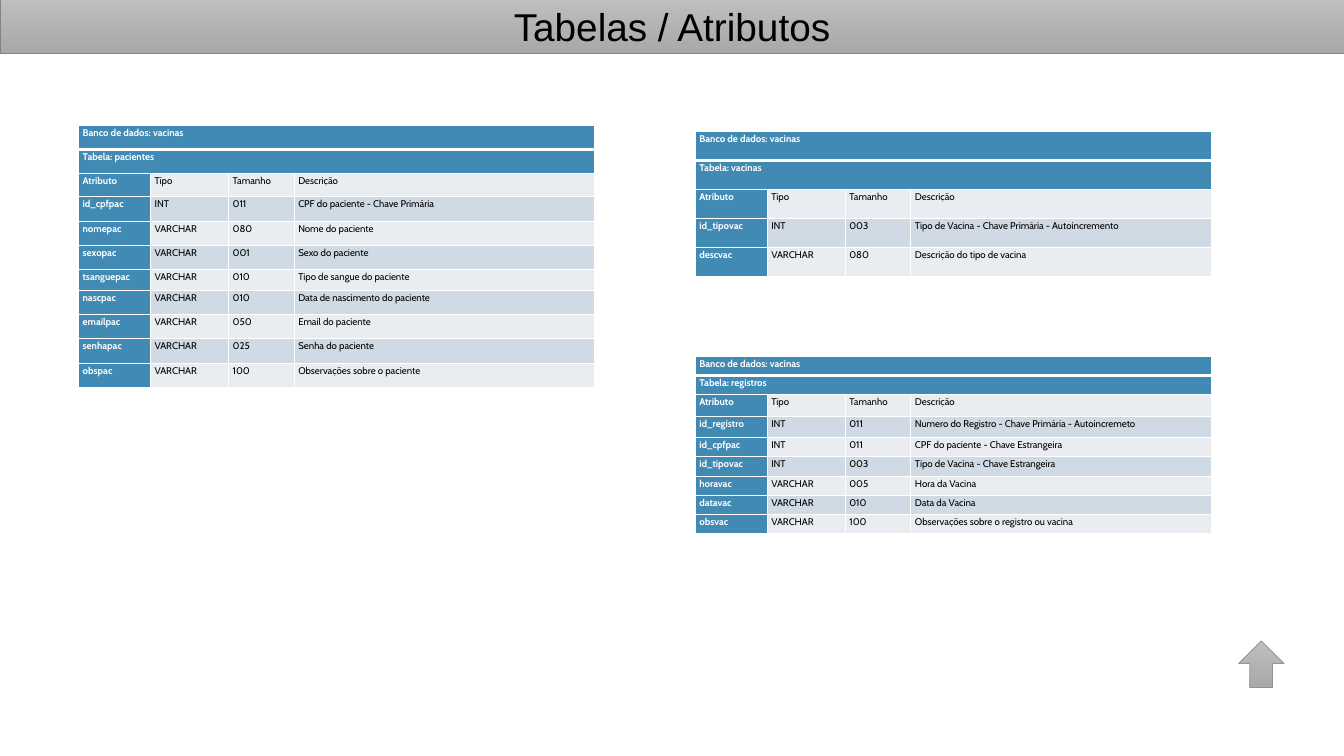
from dataclasses import dataclass

from lxml.etree import SubElement
from pptx import Presentation
from pptx.dml.color import RGBColor
from pptx.enum.shapes import MSO_SHAPE
from pptx.enum.text import MSO_AUTO_SIZE, PP_ALIGN
from pptx.oxml.ns import qn
from pptx.shapes.autoshape import Shape
from pptx.shapes.shapetree import SlideShapes
from pptx.table import _Cell
from pptx.text.text import TextFrame
from pptx.util import Pt

WIDTH, HEIGHT = 1386.72, 779.76
BLUE, WHITE, BLACK = "418AB3", "FFFFFF", "000000"
BANDS = ("E9EDF2", "CFDAE5")
COLS = (74.2, 80.6, 67.7, 310.3)
HEADS = ("Atributo", "Típo", "Tamanho", "Descrição")
EDGES = ("lnL", "lnR", "lnT", "lnB")


@dataclass
class Entity:
    name: str
    left: float
    top: float
    row: float  # usual row height
    odd: dict[int, float]  # heights of the rows that differ
    fields: list[tuple[str, str, str, str]]


ENTITIES = [
    Entity("pacientes", 81, 129.2, 25, {2: 23.8, 6: 21.6}, [
        ("id_cpfpac", "INT", "011", "CPF do paciente - Chave Primária"),
        ("nomepac", "VARCHAR", "080", "Nome do paciente"),
        ("sexopac", "VARCHAR", "001", "Sexo do paciente"),
        ("tsanguepac", "VARCHAR", "010", "Tipo de sangue do paciente"),
        ("nascpac", "VARCHAR", "010", "Data de nascimento do paciente"),
        ("emailpac", "VARCHAR", "050", "Email do paciente"),
        ("senhapac", "VARCHAR", "025", "Senha do paciente"),
        ("obspac", "VARCHAR", "100", "Observações sobre o paciente"),
    ]),
    Entity("vacinas", 717.3, 135.5, 29.9, {}, [
        ("id_tipovac", "INT", "003",
         "Tipo de Vacina - Chave Primária - Autoincremento"),
        ("descvac", "VARCHAR", "080", "Descrição do tipo de vacina"),
    ]),
    Entity("registros", 717.3, 367.5, 19.9, {2: 22.3, 3: 21.6}, [
        ("id_registro", "INT", "011",
         "Numero do Registro - Chave Primária - Autoincremeto"),
        ("id_cpfpac", "INT", "011", "CPF do paciente - Chave Estrangeira"),
        ("id_tipovac", "INT", "003", "Tipo de Vacina - Chave Estrangeira"),
        ("horavac", "VARCHAR", "005", "Hora da Vacina"),
        ("datavac", "VARCHAR", "010", "Data da Vacina"),
        ("obsvac", "VARCHAR", "100", "Observações sobre o registro ou vacina"),
    ]),
]


def color(code: str) -> RGBColor:
    return RGBColor.from_string(code)


def write(frame: TextFrame, text: str, *, size: float = 10, font: str = "Cabin",
          ink: str = BLACK, bold: bool = False, space: float = 1.15,
          align: PP_ALIGN = PP_ALIGN.LEFT) -> None:
    line = frame.paragraphs[0]
    line.alignment = align
    line.line_spacing = space
    run = line.add_run()
    run.text = text
    run.font.size = Pt(size)
    run.font.name = font
    run.font.bold = bold
    run.font.color.rgb = color(ink)


def draw_gray(shapes: SlideShapes, kind: MSO_SHAPE, left: float, top: float,
              width: float, height: float) -> Shape:
    """Add a preset shape with the gray gradient and thin outline."""
    shape = shapes.add_shape(kind, Pt(left), Pt(top), Pt(width), Pt(height))
    shape.shadow.inherit = False
    shape.fill.gradient()
    shape.fill.gradient_angle = 270
    for stop, code in zip(shape.fill.gradient_stops, ("BEBEBE", "A9A9A9")):
        stop.color.rgb = color(code)
    shape.line.color.rgb = color("838383")
    shape.line.width = Pt(0.5)
    return shape


def style(cell: _Cell, fill: str, thick: str) -> None:
    """Set margins, white borders (one edge may be thick) and fill."""
    cell.margin_left = cell.margin_right = Pt(4.3)
    cell.margin_top = cell.margin_bottom = 0
    props = cell._tc.get_or_add_tcPr()
    for edge in EDGES:
        line = SubElement(props, qn(f"a:{edge}"), w=str(Pt(3 if edge == thick else 1)))
        solid = SubElement(line, qn("a:solidFill"))
        SubElement(solid, qn("a:srgbClr"), val=WHITE)
    cell.fill.solid()
    cell.fill.fore_color.rgb = color(fill)


def draw_table(shapes: SlideShapes, entity: Entity) -> None:
    rows = [("Banco de dados: vacinas",), (f"Tabela: {entity.name}",),
            HEADS, *entity.fields]
    sizes = [entity.odd.get(i, entity.row) for i in range(len(rows))]
    table = shapes.add_table(len(rows), len(COLS), Pt(entity.left), Pt(entity.top),
                             Pt(sum(COLS)), Pt(sum(sizes))).table
    table.first_row = table.horz_banding = False
    for col, width in zip(table.columns, COLS):
        col.width = Pt(width)
    for i, (texts, size) in enumerate(zip(rows, sizes)):
        table.rows[i].height = Pt(size)
        title = len(texts) == 1
        thick = {0: "lnB", 1: "lnT"}.get(i, "")
        for j in range(len(COLS)):
            blue = title or j == 0
            cell = table.cell(i, j)
            style(cell, BLUE if blue else BANDS[i % 2], thick)
            if j < len(texts):
                write(cell.text_frame, texts[j], bold=blue,
                      ink=WHITE if blue else BLACK)
        if title:
            table.cell(i, 0).merge(table.cell(i, len(COLS) - 1))


def main() -> None:
    deck = Presentation()
    deck.slide_width, deck.slide_height = Pt(WIDTH), Pt(HEIGHT)
    shapes = deck.slides.add_slide(deck.slide_layouts[6]).shapes

    banner = draw_gray(shapes, MSO_SHAPE.RECTANGLE, 0, -1.2, WIDTH, 55.7)
    banner.text_frame.word_wrap = True
    banner.text_frame.auto_size = MSO_AUTO_SIZE.SHAPE_TO_FIT_TEXT
    write(banner.text_frame, "Tabelas / Atributos", size=40, font="Arial",
          space=1.0, align=PP_ALIGN.CENTER)

    for entity in ENTITIES:
        draw_table(shapes, entity)
    draw_gray(shapes, MSO_SHAPE.UP_ARROW, 1278, 661, 46.8, 48.2)

    deck.save("out.pptx")


if __name__ == "__main__":
    main()
